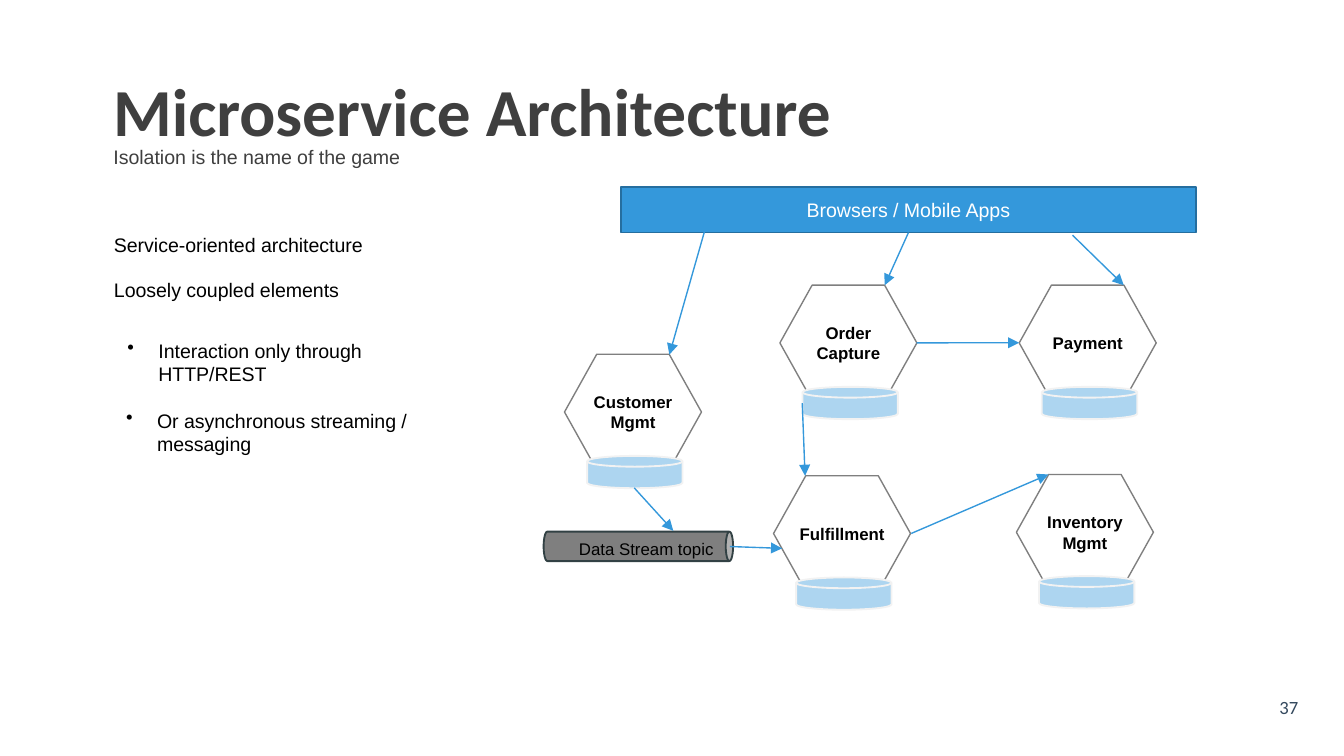
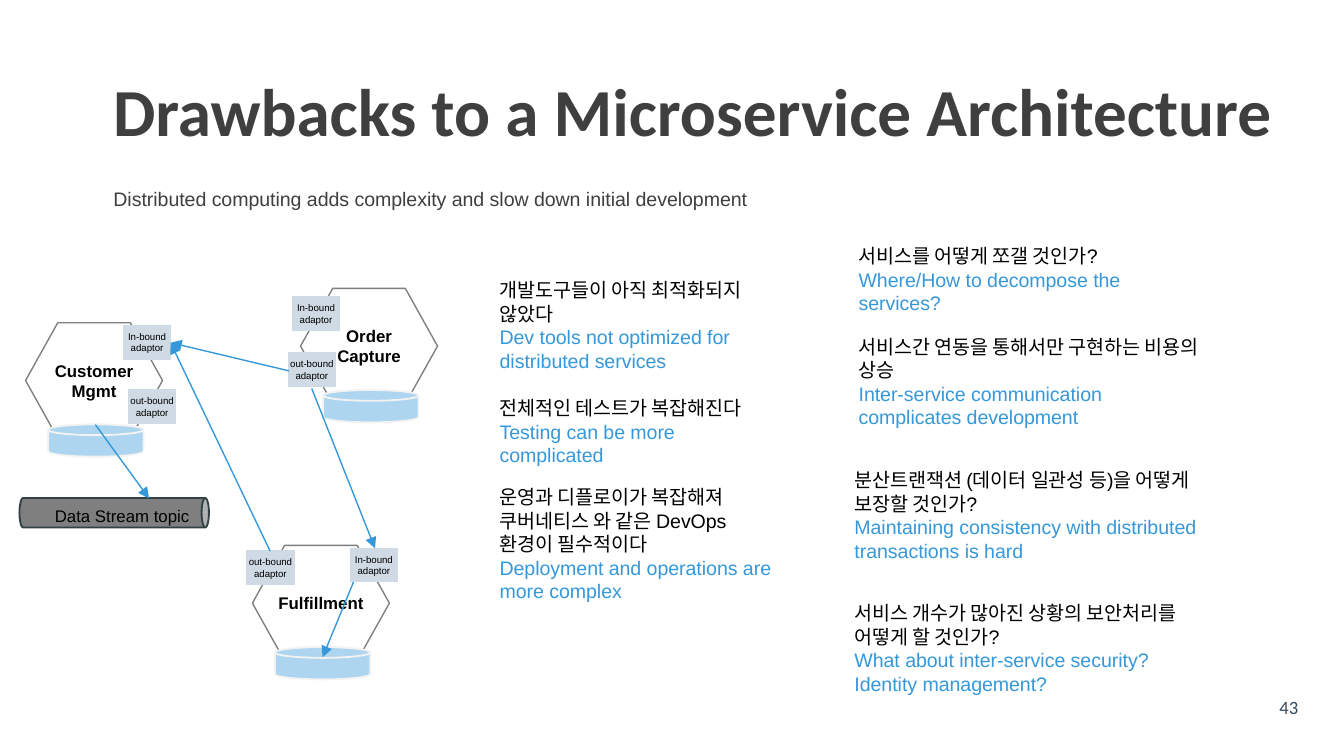
from dataclasses import dataclass

from lxml import etree
from pptx import Presentation
from pptx import util as u
from pptx.dml.color import RGBColor
from pptx.enum import shapes, text
from pptx.oxml.ns import qn

Pt = u.Pt
KIND = shapes.MSO_SHAPE


@dataclass(frozen=True)
class Theme:
    head: str = "Calibri"
    body: str = "Arial"
    ink: str = "000000"
    dark: str = "3F3F3F"
    page: str = "34495E"
    white: str = "FFFFFF"
    blue: str = "3498DB"
    navy: str = "256E9F"
    store: str = "ADD5F0"
    rim: str = "F2F2F2"
    gray: str = "7F7F7F"
    edge: str = "324144"
    port: str = "CFDAE4"
    title: float = 36
    base: float = 10.5
    num: float = 10
    label: float = 9
    tiny: float = 5.2


T = Theme()

ORDER, CUST = "Order\nCapture", "Customer\nMgmt"
STOCK, SHIP, PAY = "Inventory\nMgmt", "Fulfillment", "Payment"
TOPIC = "Data Stream topic"
IN, OUT = "In-bound\nadaptor", "out-bound\nadaptor"

# Boxes are (left, top, width, height); arrows are (x1, y1, x2, y2).
PAGES = [
    dict(
        title="Microservice Architecture",
        sub=("Isolation is the name of the game", 74.2),
        page="37",
        notes=[
            ((54, 121, 191.5, 20), "Service-oriented architecture"),
            ((54, 145.4, 191.5, 20), "Loosely coupled elements"),
        ],
        points=[
            ((61.2, 177.8, 191.5, 32.4), "Interaction only through HTTP/REST"),
            ((60.5, 215.3, 191.5, 32.4), "Or asynchronous streaming / messaging"),
        ],
        bar=((332.6, 100.1, 308.2, 24.5), "Browsers / Mobile Apps"),
        nodes=[
            (ORDER, 417.8, 152.8, []),
            (PAY, 546, 152.8, []),
            (STOCK, 544.5, 254.2, []),
            (SHIP, 414.4, 254.9, []),
            (CUST, 302.4, 189.8, []),
        ],
        topic=(291.2, 284.8),
        arrows=[
            (377.3, 124.4, 358.6, 190), (486.7, 124.6, 474, 152.8),
            (574.6, 126, 602, 152.8), (491, 183.7, 546, 183.6),
            (429.8, 216, 431.3, 254.9), (488.2, 285.8, 561.6, 254.2),
            (339.8, 261.4, 360.7, 284.4), (391, 292.8, 419, 293.8),
        ],
    ),
    dict(
        title="Drawbacks to a Microservice Architecture",
        sub=("Distributed computing adds complexity and slow down initial "
             "development", 96.5),
        page="43",
        notes=[
            ((260.6, 145.4, 164.9, 58.3),
             "개발도구들이 아직 최적화되지 않았다\n"
             "Dev tools not optimized for distributed services"),
            ((260.6, 208.8, 164.9, 45.4),
             "전체적인 테스트가 복잡해진다\nTesting can be more complicated"),
            ((260.6, 256.3, 164.9, 70.6),
             "운영과 디플로이가 복잡해져 쿠버네티스 와 같은 DevOps 환경이 필수적이다\n"
             "Deployment and operations are more complex"),
            ((452.9, 127.4, 164.9, 45.4),
             "서비스를 어떻게 쪼갤 것인가?\nWhere/How to decompose the services?"),
            ((452.9, 175.7, 200.2, 58.3),
             "서비스간 연동을 통해서만 구현하는 비용의 상승\n"
             "Inter-service communication complicates development"),
            ((450.7, 247.2, 198.7, 58.3),
             "분산트랜잭션 (데이터 일관성 등)을 어떻게 보장할 것인가?\n"
             "Maintaining consistency with distributed transactions is hard"),
            ((450.7, 318.5, 198.7, 58.3),
             "서비스 개수가 많아진 상황의 보안처리를 어떻게 할 것인가?\n"
             "What about inter-service security? Identity management?"),
        ],
        nodes=[
            (ORDER, 161, 154.5, [(IN, -4.3, 4.5), (OUT, -6.5, 34.6)]),
            (SHIP, 135.2, 292.2, [(IN, 52.5, 1.5), (OUT, -2.9, 2.9)]),
            (CUST, 13.7, 172.9, [(IN, 52.5, 1.4), (OUT, 55.2, 36)]),
        ],
        topic=(10.4, 266.8),
        arrows=[
            (51.1, 227.5, 79.9, 267.1), (144.7, 295.2, 91.4, 183.6),
            (189.4, 311.8, 172.8, 352.1), (154.8, 198.7, 91.4, 183.6),
            (167, 208.1, 200.9, 293.8),
        ],
    ),
]


def rgb(code):
    return RGBColor.from_string(code)


def write(shape, words, size=T.base, face=T.body, hue=(T.ink,), bold=False,
          align="LEFT", mid=False, pad=(7.2, 3.6), lead=None, dot=False):
    """Fill a shape with one paragraph per line; the last hue repeats."""
    frame = shape.text_frame
    frame.word_wrap = True
    frame.margin_left = frame.margin_right = Pt(pad[0])
    frame.margin_top = frame.margin_bottom = Pt(pad[1])
    frame.vertical_anchor = (text.MSO_ANCHOR.MIDDLE if mid
                             else text.MSO_ANCHOR.TOP)
    for i, line in enumerate(words.split("\n")):
        para = frame.add_paragraph() if i else frame.paragraphs[0]
        para.alignment = getattr(text.PP_ALIGN, align)
        if lead:
            para.line_spacing = lead
        if dot:
            mark(para)
        run = para.add_run()
        run.text = line
        font = run.font
        font.size, font.name, font.bold = Pt(size), face, bold
        font.color.rgb = rgb(hue[min(i, len(hue) - 1)])


def mark(para):
    """Give a paragraph a hanging bullet."""
    props = para._p.get_or_add_pPr()
    props.set("marL", str(Pt(16.6)))
    props.set("indent", str(-Pt(16.6)))
    tint = etree.SubElement(props, qn("a:buClr"))
    etree.SubElement(tint, qn("a:srgbClr"), val=T.ink)
    etree.SubElement(props, qn("a:buChar"), char="•")


def label(slide, box, words, **form):
    write(slide.shapes.add_textbox(*map(Pt, box)), words, **form)


def draw(slide, kind, box, fill, line, width=1.0):
    shape = slide.shapes.add_shape(kind, *map(Pt, box))
    shape.shadow.inherit = False
    shape.fill.solid()
    shape.fill.fore_color.rgb = rgb(fill)
    shape.line.color.rgb = rgb(line)
    shape.line.width = Pt(width)
    return shape


def node(slide, name, x, y, ports):
    """Draw a service hexagon with its data store and adaptors."""
    hexa = draw(slide, KIND.HEXAGON, (x, y, 73.4, 61.9), T.white, T.gray, 0.75)
    hexa.adjustments[0] = 0.279
    write(hexa, name, size=T.label, bold=True, align="CENTER", mid=True,
          pad=(0, 3.6))
    draw(slide, KIND.FLOWCHART_MAGNETIC_DISK, (x + 12.1, y + 54.5, 51.1, 17.3),
         T.store, T.rim)
    for tag, dx, dy in ports:
        port = draw(slide, KIND.RECTANGLE, (x + dx, y + dy, 25.2, 18),
                    T.port, T.port, 0.75)
        write(port, tag, size=T.tiny, align="CENTER", mid=True, pad=(0, 0))


def pipe(slide, x, y, long=101.5, thick=15.8):
    """Draw a can lying on its side, with its label."""
    gap = (long - thick) / 2
    can = draw(slide, KIND.CAN, (x + gap, y - gap, thick, long), T.gray, T.edge)
    can.rotation = 90
    label(slide, (x + 11.9, y + 0.3, 116, 18), TOPIC, size=T.label)


def arrow(slide, ends):
    line = slide.shapes.add_connector(shapes.MSO_CONNECTOR.STRAIGHT,
                                      *map(Pt, ends))
    line.line.color.rgb = rgb(T.blue)
    line.line.width = Pt(0.75)
    etree.SubElement(line.line._get_or_add_ln(), qn("a:tailEnd"),
                     type="triangle")
    etree.SubElement(line._element.spPr, qn("a:effectLst"))


def build(deck, page):
    slide = deck.slides.add_slide(deck.slide_layouts[6])
    label(slide, (670.3, 375.1, 40.3, 18.7), page["page"], size=T.num,
          face=T.head, hue=(T.page,), align="CENTER", pad=(10.8, 5), lead=0.5)
    label(slide, (53.5, 33.1, 648.7, 51.1), page["title"], size=T.title,
          face=T.head, hue=(T.dark,), bold=True, mid=True)
    words, top = page["sub"]
    label(slide, (53.7, top, 527, 20), words, hue=(T.dark,))
    for box, words in page["notes"]:
        label(slide, box, words, hue=(T.ink, T.blue))
    for box, words in page.get("points", []):
        label(slide, box, words, dot=True)
    if "bar" in page:
        box, words = page["bar"]
        write(draw(slide, KIND.RECTANGLE, box, T.blue, T.navy), words,
              hue=(T.white,), align="CENTER", mid=True)
    for item in page["nodes"]:
        node(slide, *item)
    pipe(slide, *page["topic"])
    for ends in page["arrows"]:
        arrow(slide, ends)


def main():
    deck = Presentation()
    deck.slide_width, deck.slide_height = Pt(720), Pt(405)
    for page in PAGES:
        build(deck, page)
    deck.save("out.pptx")


if __name__ == "__main__":
    main()
